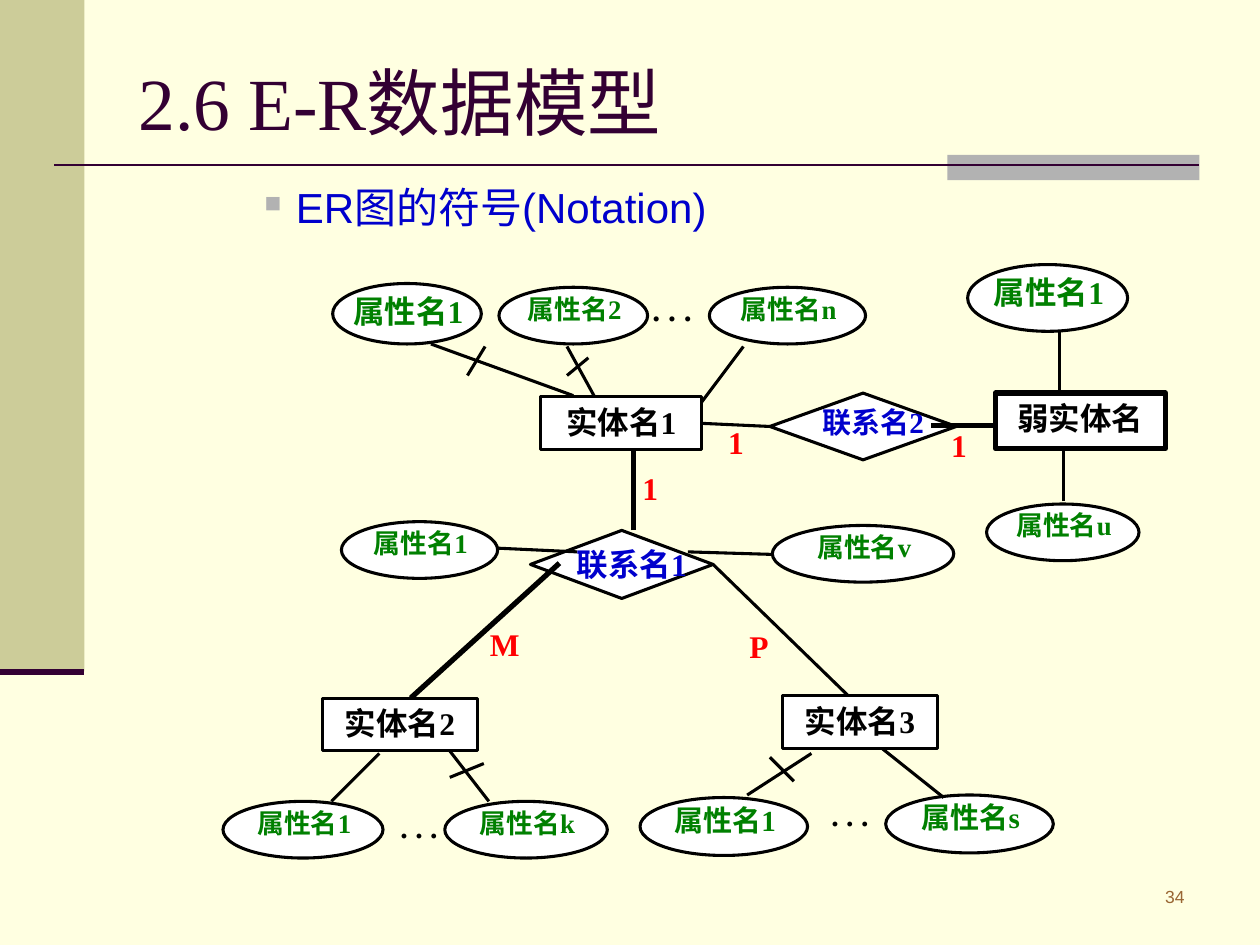
from dataclasses import dataclass
from typing import Optional

from lxml.etree import SubElement
from pptx import Presentation
from pptx.dml.color import RGBColor
from pptx.enum.shapes import MSO_CONNECTOR, MSO_SHAPE as Preset
from pptx.enum.text import MSO_ANCHOR as Anchor, PP_ALIGN as Align
from pptx.oxml.ns import qn
from pptx.util import Inches, Pt

# The grid has 100 columns and 75 rows, each a tenth of an inch
WIDTH, HEIGHT = Inches(10), Inches(7.5)
COLUMN, ROW = WIDTH / 100, HEIGHT / 75

SERIF, SANS = "Times New Roman", "Arial"
CREAM, OLIVE, GREY, PLUM = "FFFFE1", "CCCC99", "B2B2B2", "330033"
BLACK, WHITE, BLUE, GREEN, RED = "000000", "FFFFFF", "0000CC", "008000", "FF0000"
THIN, THICK = 1.75, 3


@dataclass(frozen=True)
class Box:
    col: float
    row: float
    cols: float
    rows: float

    def emu(self) -> tuple:
        return (round(self.col * COLUMN), round(self.row * ROW),
                round(self.cols * COLUMN), round(self.rows * ROW))


@dataclass(frozen=True)
class Entity:
    name: str
    box: Box
    weight: float = THIN


@dataclass(frozen=True)
class Oval:
    """An attribute or, drawn as a diamond, a relationship."""
    name: str
    box: Box
    size: float = 15.3


@dataclass(frozen=True)
class Link:
    start: tuple
    end: tuple
    weight: float = THIN
    begin_at: Optional[tuple] = None  # (node name, side)
    end_at: Optional[tuple] = None


@dataclass(frozen=True)
class Mark:
    text: str
    col: float
    row: float
    color: str = RED
    size: float = 18


ENTITIES = [
    Entity("实体名1", Box(42.9, 31.5, 12.8, 4.2)),
    Entity("实体名2", Box(25.6, 55.4, 12.3, 4.2)),
    Entity("实体名3", Box(62.1, 55.2, 12.3, 4.2)),
    Entity("弱实体名", Box(79, 31.2, 13.5, 4.4), THICK),
]
RELATIONSHIPS = [
    Oval("联系名1", Box(42.1, 42.1, 14.5, 5.4), 18),
    Oval("联系名2", Box(61.1, 31.2, 14.8, 5.3), 16.6),
]
ATTRIBUTES = [
    Oval("属性名1", Box(26.4, 22.5, 11.8, 4.8), 18),
    Oval("属性名2", Box(39.6, 22.8, 11.8, 4.5)),
    Oval("属性名n", Box(56.3, 22.8, 12.4, 4.5)),
    Oval("属性名1", Box(76.8, 21, 12.7, 5.3), 18),
    Oval("属性名u", Box(78.3, 40, 12.1, 4.5)),
    Oval("属性名1", Box(27.1, 41.4, 12.4, 4.5)),
    Oval("属性名v", Box(61.3, 41.7, 14.4, 4.5)),
    Oval("属性名1", Box(17.7, 63.6, 12.7, 4.5)),
    Oval("属性名k", Box(35.3, 63.6, 12.9, 4.5)),
    Oval("属性名1", Box(50.8, 63.3, 13.3, 4.6), 16.6),
    Oval("属性名s", Box(70.3, 63.1, 13.3, 4.6), 16.6),
]
LINKS = [
    # Entities to relationships
    Link((44.4, 44.7), (32.6, 55.4), THICK),
    Link((56.6, 44.8), (67.3, 55.2), begin_at=("联系名1", 3)),
    Link((50.3, 42.1), (50.3, 35.6), THICK),
    Link((55.7, 33.6), (61.1, 33.8), begin_at=("实体名1", 3), end_at=("联系名2", 1)),
    Link((73.9, 33.8), (79.1, 33.8), THICK),
    # Attributes to their owners
    Link((45.5, 31.4), (34.2, 27.3)),
    Link((47.2, 31.5), (45, 27.5)),
    Link((55.7, 31.9), (59, 27.5)),
    Link((45.8, 43.8), (39.4, 43.5)),
    Link((54.6, 43.8), (61.3, 44)),
    Link((84.1, 26.3), (84.1, 31.4)),
    Link((84.4, 39.8), (84.4, 35.6)),
    Link((30.1, 59.8), (26.3, 63.6)),
    Link((35.7, 59.6), (38.8, 63.6)),
    Link((64.4, 59.8), (59.3, 63.1)),
    Link((74.9, 63.3), (70, 59.4)),
    # Key ticks across attribute lines
    Link((38.4, 60.6), (35.7, 61.7)),
    Link((63, 62), (61.1, 60.1)),
    Link((46.7, 28.4), (45, 29.8)),
    Link((37.1, 29.8), (38.5, 27.5)),
]
MARKS = [
    Mark(". . .", 30.8, 64, BLACK, 17),
    Mark(". . .", 65, 63.1, BLACK, 17),
    Mark(". . .", 50.8, 22.5, BLACK),
    Mark("1", 50, 36.7),
    Mark("M", 37.9, 49.1),
    Mark("P", 58.5, 49.3),
    Mark("1", 56.8, 33.1),
    Mark("1", 74.5, 33.3),
]


def rgb(color: str) -> RGBColor:
    return RGBColor.from_string(color)


def write(frame, text: str, *, size: float, color: str, font: str = SERIF,
          bold: bool = False, align=Align.LEFT, anchor=Anchor.TOP):
    frame.word_wrap = True
    frame.vertical_anchor = anchor
    paragraph = frame.paragraphs[0]
    paragraph.alignment = align
    if bold and size < 18:  # shrunken labels are set tighter
        paragraph.line_spacing = 0.9
    run = paragraph.add_run()
    run.text = text
    run.font.size, run.font.name, run.font.bold = Pt(size), font, bold
    run.font.color.rgb = rgb(color)
    return paragraph


def text_box(slide, box: Box, text: str, **style):
    return write(slide.shapes.add_textbox(*box.emu()).text_frame, text, **style)


def node(slide, preset, box: Box, fill: str = WHITE, weight: float = 0):
    shape = slide.shapes.add_shape(preset, *box.emu())
    shape.shadow.inherit = False
    shape.fill.solid()
    shape.fill.fore_color.rgb = rgb(fill)
    if weight:
        shape.line.width = Pt(weight)
        shape.line.color.rgb = rgb(BLACK)
    else:
        shape.line.fill.background()
    return shape


def connect(slide, link: Link, nodes: dict, color: str = BLACK) -> None:
    (x1, y1), (x2, y2) = link.start, link.end
    line = slide.shapes.add_connector(
        MSO_CONNECTOR.STRAIGHT, round(x1 * COLUMN), round(y1 * ROW),
        round(x2 * COLUMN), round(y2 * ROW))
    line.line.width = Pt(link.weight)
    line.line.color.rgb = rgb(color)
    SubElement(line._element.spPr, qn("a:effectLst"))
    if link.begin_at:
        line.begin_connect(nodes[link.begin_at[0]], link.begin_at[1])
    if link.end_at:
        line.end_connect(nodes[link.end_at[0]], link.end_at[1])


def add_bullet(paragraph, char: str, color: str, percent: int) -> None:
    props = paragraph._p.get_or_add_pPr()
    props.set("marL", str(Inches(1.25)))
    props.set("indent", str(-Inches(0.25)))
    SubElement(SubElement(props, qn("a:buClr")), qn("a:srgbClr"), val=color)
    SubElement(props, qn("a:buSzPct"), val=str(percent * 1000))
    SubElement(props, qn("a:buChar"), char=char)


def draw_frame(slide) -> None:
    slide.background.fill.solid()
    slide.background.fill.fore_color.rgb = rgb(CREAM)
    node(slide, Preset.RECTANGLE, Box(0, 0, 6.7, 53.3), OLIVE)
    node(slide, Preset.RECTANGLE, Box(75.2, 12.3, 20, 2), GREY)
    connect(slide, Link((4.3, 13.1), (95.2, 13.1), 1.5), {}, PLUM)
    connect(slide, Link((0, 53.3), (6.7, 53.3), 3.5), {}, PLUM)
    text_box(slide, Box(82.3, 69.8, 12.7, 3.5), "34", size=10, color="996633",
             font=SANS, align=Align.RIGHT)
    text_box(slide, Box(10, 3, 85, 10.1), "2.6 E-R数据模型", size=42, color=PLUM,
             anchor=Anchor.MIDDLE)
    heading = text_box(slide, Box(10, 13.9, 85, 55.1), "ER图的符号(Notation)",
                       size=24, color=BLUE, font=SANS)
    add_bullet(heading, "■", GREY, 55)


def draw_diagram(slide) -> None:
    nodes = {}
    label = {"bold": True, "align": Align.CENTER}
    for entity in ENTITIES:
        shape = node(slide, Preset.RECTANGLE, entity.box, weight=entity.weight)
        write(shape.text_frame, entity.name, size=18, color=BLACK, **label)
        nodes[entity.name] = shape
    for rel in RELATIONSHIPS:
        box = rel.box
        nodes[rel.name] = node(slide, Preset.FLOWCHART_DECISION, box, weight=THIN)
        inner = Box(box.col + 2.2, box.row + 0.7, box.cols - 2.8, box.rows - 1.4)
        text_box(slide, inner, rel.name, size=rel.size, color=BLUE, **label)
    for attr in ATTRIBUTES:
        box = attr.box
        node(slide, Preset.OVAL, box, weight=THIN)
        inner = Box(box.col, box.row + 0.2, box.cols + 0.2, box.rows - 0.7)
        text_box(slide, inner, attr.name, size=attr.size, color=GREEN, **label)
    for link in LINKS:
        connect(slide, link, nodes)
    for mark in MARKS:
        text_box(slide, Box(mark.col, mark.row, 5.6, 4), mark.text, size=mark.size,
                 color=mark.color, bold=True, align=Align.JUSTIFY)


def main() -> None:
    deck = Presentation()
    deck.slide_width, deck.slide_height = WIDTH, HEIGHT
    slide = deck.slides.add_slide(deck.slide_layouts[6])
    draw_frame(slide)
    draw_diagram(slide)
    deck.save("out.pptx")


if __name__ == "__main__":
    main()
